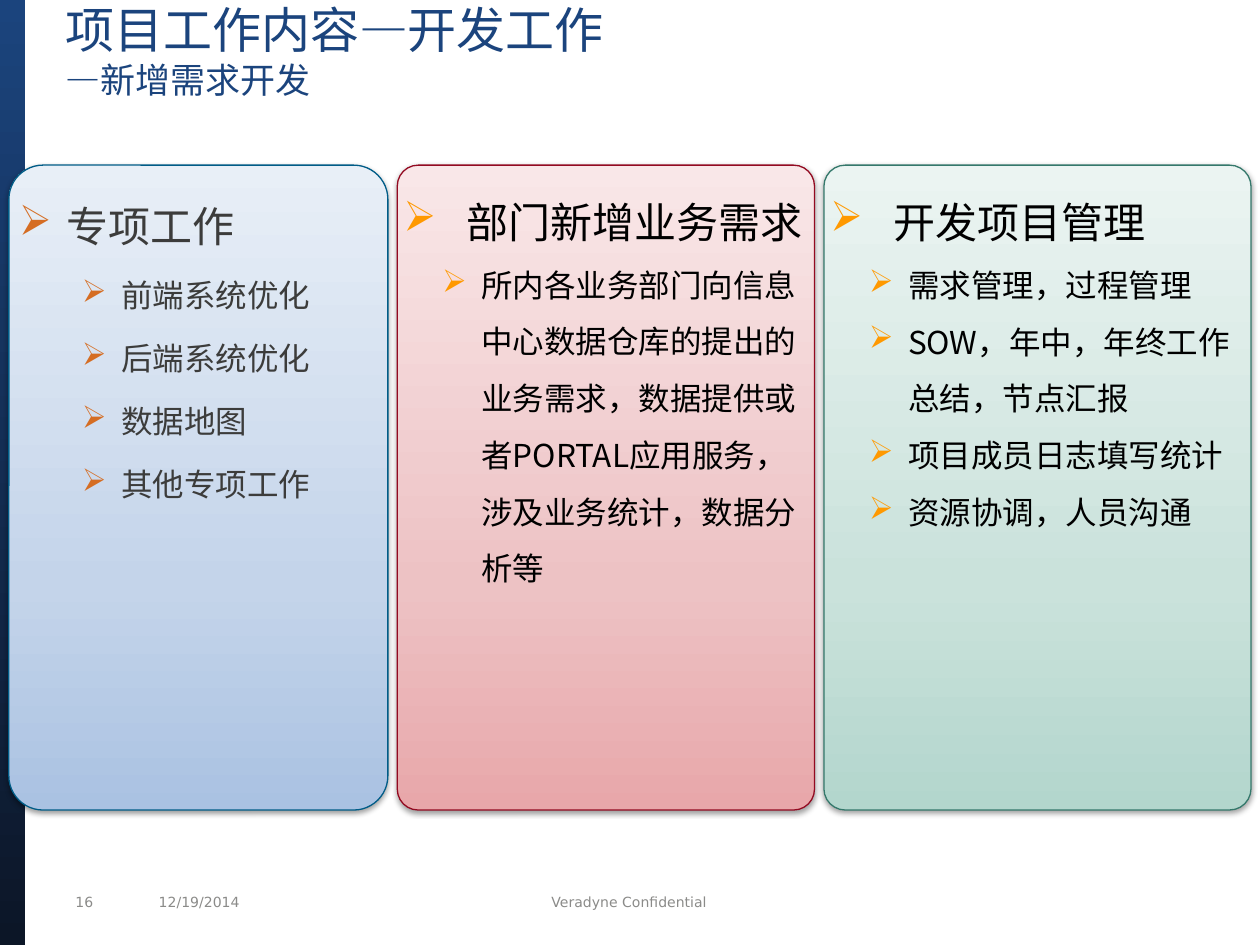
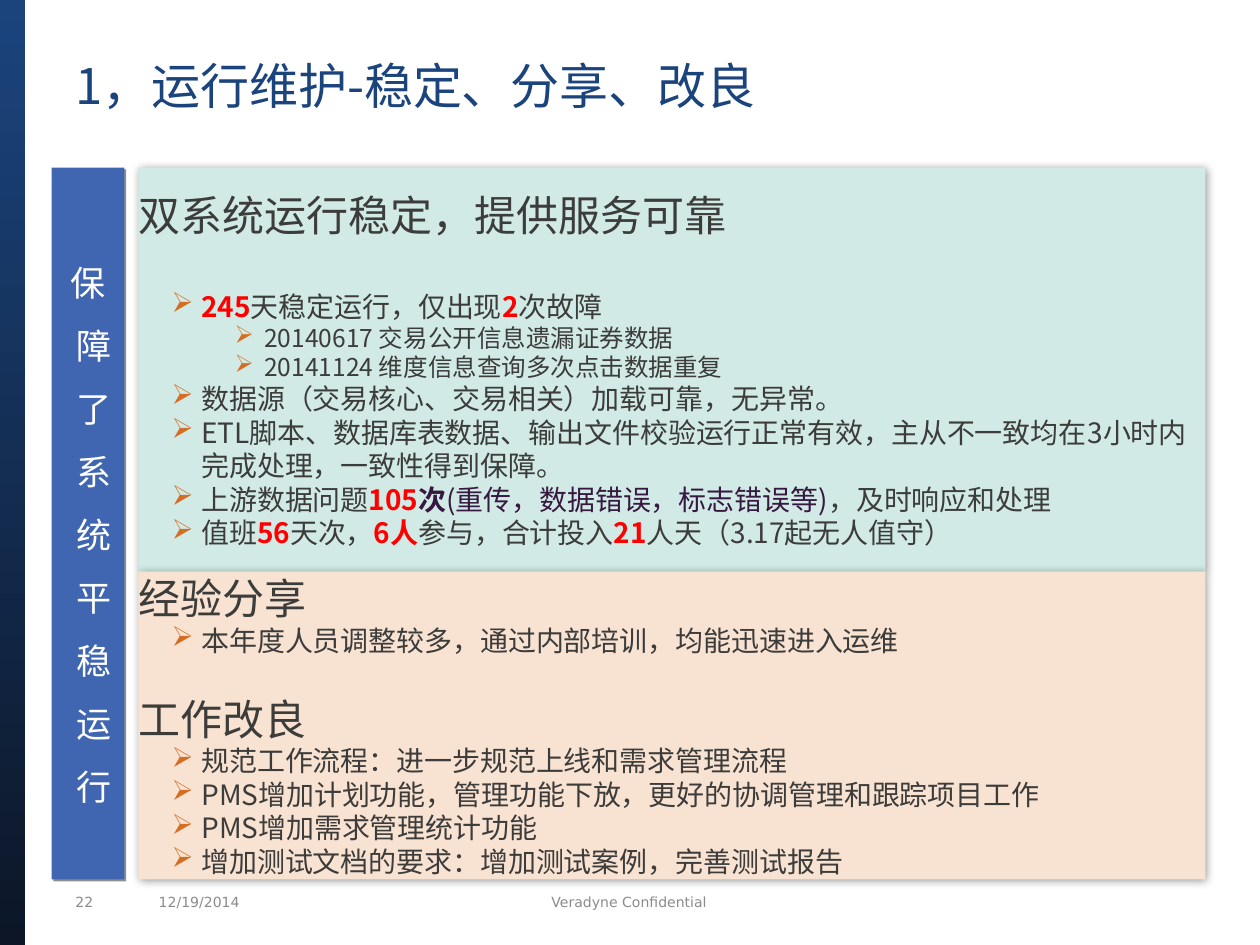
from lxml.etree import SubElement
from pptx import Presentation
from pptx.dml.color import RGBColor
from pptx.enum.shapes import MSO_SHAPE
from pptx.enum.text import MSO_ANCHOR, PP_ALIGN
from pptx.oxml.ns import qn
from pptx.util import Cm, Pt

COLOURS = {
    "navy": "1B447D", "night": "0C1627", "text": "3C3C3B", "footer": "8B8B89",
    "white": "FFFFFF", "black": "000000", "red": "FF0000", "plum": "361840",
    "rust": "D56D23", "amber": "FF9900",
    "strip": "4066B2", "mint": "D1EAE5", "peach": "F8E2D2",
    "blue line": "005C87", "red line": "930A21", "green line": "34786B",
}
BLUE_FADE = [(0, "AAC2E2"), (35, "C4D4EA"), (100, "E8EFF7")]
RED_FADE = [(0, "E8A7AA"), (35, "EDC2C4"), (100, "F9E7E8")]
GREEN_FADE = [(0, "B3D6CD"), (35, "CAE2DB"), (100, "EBF4F2")]
BAND_FADE = [(0, COLOURS["night"]), (100, COLOURS["navy"])]

BODY_FONT = "Noto Sans CJK SC"
FOOTER_FONT = "DejaVu Sans"

CARD_TOP, CARD_HEIGHT, CARD_GAP = 3.33, 13, 0.19
PANEL_LEFT, PANEL_TOP, PANEL_WIDTH = 2.79, 3.38, 21.51

# Panel paragraph styles: size, left margin and hanging indent in cm
HEADING = dict(size=24)
POINT = dict(size=16, left=1.27, hang=0.6, bullet="rust")
DETAIL = dict(size=14, left=2.54, hang=0.6, bullet="rust")


def rgb(name):
    return RGBColor.from_string(COLOURS[name])


def add_paragraph(frame, content, size, colour="text", font=BODY_FONT, align=None,
                  left=0, hang=0, bullet=None, spacing=None, before=0):
    """Content is a string, or a list of strings and (text, colour, bold) spans."""
    first = frame.paragraphs[0]
    paragraph = frame.add_paragraph() if first.runs else first
    properties = paragraph._p.get_or_add_pPr()
    if left:
        properties.set("marL", str(Cm(left)))
        properties.set("indent", str(-Cm(hang)))
    if bullet:
        bullet_colour = SubElement(properties, qn("a:buClr"))
        SubElement(bullet_colour, qn("a:srgbClr"), val=COLOURS[bullet])
        SubElement(properties, qn("a:buChar"), char="➢")
    if align:
        paragraph.alignment = align
    if spacing:
        paragraph.line_spacing = spacing
    if before:
        paragraph.space_before = Pt(before)
    paragraph.font.size = Pt(size)
    paragraph.font.color.rgb = rgb(colour)
    paragraph.font.name = font
    SubElement(properties.find(qn("a:defRPr")), qn("a:ea"), typeface=font)

    for span in [content] if isinstance(content, str) else content:
        run = paragraph.add_run()
        if isinstance(span, str):
            run.text = span
        else:
            run.text, span_colour, bold = span
            run.font.color.rgb = rgb(span_colour)
            if bold:
                run.font.bold = True
    return paragraph


def set_frame(shape, anchor=MSO_ANCHOR.TOP, side=0.0, ends=0.0):
    frame = shape.text_frame
    frame.word_wrap = True
    frame.vertical_anchor = anchor
    frame.margin_left = frame.margin_right = Cm(side)
    frame.margin_top = frame.margin_bottom = Cm(ends)
    return frame


def add_text_box(page, left, top, width, height, **frame_options):
    box = page.shapes.add_textbox(Cm(left), Cm(top), Cm(width), Cm(height))
    return set_frame(box, **frame_options)


def add_block(page, kind, left, top, width, height, fill=None, line=None):
    block = page.shapes.add_shape(kind, Cm(left), Cm(top), Cm(width), Cm(height))
    block.shadow.inherit = False
    if fill:
        block.fill.solid()
        block.fill.fore_color.rgb = rgb(fill)
    if line:
        block.line.color.rgb = rgb(line)
        block.line.width = Pt(0.75)
    else:
        block.line.fill.background()
    return block


def fade_upwards(shape, stops):
    """Fill with a gradient whose first stop lies at the bottom."""
    shape.fill.gradient()
    gradient = shape._element.spPr.find(qn("a:gradFill"))
    stop_list = gradient.find(qn("a:gsLst"))
    for stop in list(stop_list):
        stop_list.remove(stop)
    for position, colour in stops:
        stop = SubElement(stop_list, qn("a:gs"), pos=str(position * 1000))
        SubElement(stop, qn("a:srgbClr"), val=colour)
    gradient.find(qn("a:lin")).set("ang", str(270 * 60000))


def cast_shadow(shape, opacity, blur, distance, angle):
    effects = shape._element.spPr.find(qn("a:effectLst"))
    shadow = SubElement(effects, qn("a:outerShdw"), blurRad=str(Pt(blur)),
                        dist=str(Pt(distance)), dir=str(angle * 60000), rotWithShape="0")
    colour = SubElement(shadow, qn("a:srgbClr"), val=COLOURS["black"])
    SubElement(colour, qn("a:alpha"), val=str(opacity * 1000))


def add_page(deck, number):
    """Add a blank page with the footer line and the side band."""
    page = deck.slides.add_slide(deck.slide_layouts[6])
    footers = [
        (str(number), 1.27, 1.27, PP_ALIGN.LEFT),
        ("12/19/2014", 2.95, 4.24, PP_ALIGN.LEFT),
        ("Veradyne Confidential", 7.39, 10.59, PP_ALIGN.CENTER),
    ]
    for text, left, width, align in footers:
        frame = add_text_box(page, left, 17.88, width, 0.61,
                             anchor=MSO_ANCHOR.MIDDLE, side=0.25, ends=0.13)
        add_paragraph(frame, text, 8, "footer", FOOTER_FONT, align)
    band = add_block(page, MSO_SHAPE.RECTANGLE, 0, 0, 0.51, 19.05)
    fade_upwards(band, BAND_FADE)
    return page


def add_title(page, text, left, top, width, height, subtitle=None):
    frame = add_text_box(page, left, top, width, height, side=0.25)
    paragraph = add_paragraph(frame, text, 28, "navy")
    if subtitle:
        paragraph.add_line_break()
        run = paragraph.add_run()
        run.text = subtitle
        run.font.size = Pt(20)


def add_card(page, left, width, corner, fade, line, heading, points,
             heading_indent, point_indent, colour="black", bullet="amber", before=0):
    card = add_block(page, MSO_SHAPE.ROUNDED_RECTANGLE, left, CARD_TOP, width,
                     CARD_HEIGHT, line=line)
    card.adjustments[0] = corner
    fade_upwards(card, fade)
    cast_shadow(card, 38, 3.1, 1.6, 90)
    frame = set_frame(card)
    shared = dict(colour=colour, bullet=bullet, spacing=1.5, align=PP_ALIGN.LEFT)
    add_paragraph(frame, heading, 24, left=heading_indent, hang=heading_indent, **shared)
    for point in points:
        add_paragraph(frame, point, 18, left=point_indent, hang=0.79,
                      before=before, **shared)


def add_panel(page, top, height, fill, paragraphs):
    """Paragraphs are (style, content, space before in points)."""
    panel = add_block(page, MSO_SHAPE.RECTANGLE, PANEL_LEFT, top, PANEL_WIDTH, height, fill)
    cast_shadow(panel, 40, 5, 1.5, 45)
    frame = set_frame(panel, anchor=MSO_ANCHOR.MIDDLE)
    for style, content, before in paragraphs:
        add_paragraph(frame, content, before=before, align=PP_ALIGN.LEFT, **style)


def add_vertical_strip(page, text, left, top, width, height):
    strip = add_block(page, MSO_SHAPE.RECTANGLE, left, top, width, height, "strip")
    cast_shadow(strip, 43, 0, 1.5, 45)
    frame = set_frame(strip, anchor=MSO_ANCHOR.MIDDLE, side=0.1, ends=0.25)
    frame._txBody.bodyPr.set("vert", "wordArtVert")
    add_paragraph(frame, text, 20, "white", align=PP_ALIGN.CENTER,
                  left=0.25, hang=0.25, spacing=1.5)


def build_development_page(deck):
    page = add_page(deck, 16)
    add_title(page, "项目工作内容—开发工作", 1.07, 0, 15.24, 3.18, "—新增需求开发")
    cards = [
        dict(width=7.64, corner=0.09, fade=BLUE_FADE, line="blue line",
             heading="专项工作", heading_indent=0.97, point_indent=2.06,
             colour="text", bullet="rust", before=3.6,
             points=["前端系统优化", "后端系统优化", "数据地图", "其他专项工作"]),
        dict(width=8.41, corner=0.05, fade=RED_FADE, line="red line",
             heading="部门新增业务需求", heading_indent=1.27, point_indent=1.57,
             points=["所内各业务部门向信息中心数据仓库的提出的业务需求，数据提供或者"
                     "PORTAL应用服务，涉及业务统计，数据分析等"]),
        dict(width=8.61, corner=0.05, fade=GREEN_FADE, line="green line",
             heading="开发项目管理", heading_indent=1.27, point_indent=1.57,
             points=["需求管理，过程管理", "SOW，年中，年终工作总结，节点汇报",
                     "项目成员日志填写统计", "资源协调，人员沟通"]),
    ]
    left = 0.18
    for card in cards:
        add_card(page, left, **card)
        left += card["width"] + CARD_GAP


def build_operations_page(deck):
    page = add_page(deck, 22)
    add_title(page, "1，运行维护-稳定、分享、改良", 1.27, 1.12, 22.86, 1.42)
    add_vertical_strip(page, "保障了系统平稳运行", 1.04, PANEL_TOP, 1.47, 14.35)

    def key(text):
        return text, "red", True

    stability = [
        (HEADING, "双系统运行稳定，提供服务可靠", 0),
        (POINT, [key("245"), "天稳定运行，仅出现", key("2"), "次故障"], 28),
        (DETAIL, "20140617 交易公开信息遗漏证券数据", 0),
        (DETAIL, "20141124 维度信息查询多次点击数据重复", 0),
        (POINT, "数据源（交易核心、交易相关）加载可靠，无异常。", 0),
        (POINT, "ETL脚本、数据库表数据、输出文件校验运行正常有效，"
                "主从不一致均在3小时内完成处理，一致性得到保障。", 0),
        (POINT, ["上游数据问题", key("105"), ("次", "plum", True),
                 ("(重传，数据错误，标志错误等)", "plum", False), "，及时响应和处理"], 0),
        (POINT, ["值班", key("56"), "天次，", key("6人"), "参与，合计投入", key("21"),
                 "人天（3.17起无人值守）"], 0),
    ]
    sharing = [
        (HEADING, "经验分享", 0),
        (POINT, "本年度人员调整较多，通过内部培训，均能迅速进入运维", 0),
        (HEADING, "工作改良", 21),
        (POINT, "规范工作流程：进一步规范上线和需求管理流程", 0),
        (POINT, "PMS增加计划功能，管理功能下放，更好的协调管理和跟踪项目工作", 0),
        (POINT, "PMS增加需求管理统计功能", 0),
        (POINT, "增加测试文档的要求：增加测试案例，完善测试报告", 0),
    ]
    stability_height = 8.14
    add_panel(page, PANEL_TOP, stability_height, "mint", stability)
    add_panel(page, PANEL_TOP + stability_height, 6.21, "peach", sharing)


def main():
    deck = Presentation()
    deck.slide_width, deck.slide_height = Cm(25.4), Cm(19.05)
    build_development_page(deck)
    build_operations_page(deck)
    deck.save("out.pptx")


if __name__ == "__main__":
    main()
